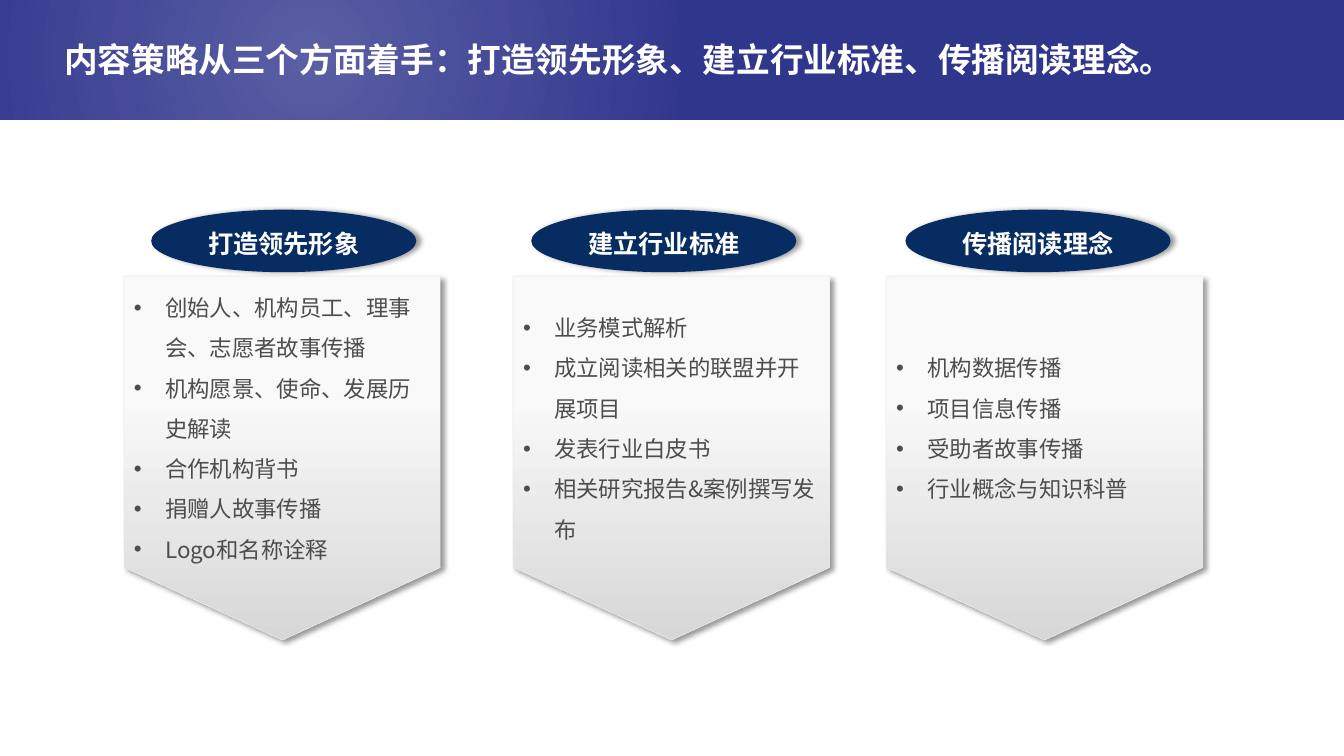
from dataclasses import dataclass

from lxml import etree
from pptx import Presentation
from pptx.dml.color import RGBColor
from pptx.enum.shapes import MSO_SHAPE
from pptx.enum.text import MSO_ANCHOR, PP_ALIGN
from pptx.oxml.ns import qn
from pptx.shapes.autoshape import Shape
from pptx.slide import Slide
from pptx.text.text import _Paragraph
from pptx.util import Inches, Pt

RECTANGLE = MSO_SHAPE.RECTANGLE
ELLIPSE = MSO_SHAPE.OVAL
PENNANT = MSO_SHAPE.FLOWCHART_OFFPAGE_CONNECTOR
MIDDLE = MSO_ANCHOR.MIDDLE
LEFT, CENTER = PP_ALIGN.LEFT, PP_ALIGN.CENTER

INDIGO = RGBColor(0x31, 0x36, 0x8D)
NAVY = RGBColor(0x07, 0x2C, 0x62)
WHITE = RGBColor(0xFF, 0xFF, 0xFF)
BLACK = RGBColor(0x00, 0x00, 0x00)
CHARCOAL = RGBColor(0x4D, 0x4D, 0x4D)
PALE_GREY = RGBColor(0xF9, 0xF9, 0xF9)
MID_GREY = RGBColor(0xD7, 0xD7, 0xD7)
EDGE_GREY = RGBColor(0xEA, 0xEA, 0xEA)

FONT = "Noto Sans CJK SC"
SLIDE_WIDTH, SLIDE_HEIGHT = Inches(13.33), Inches(7.5)
COLUMN, ROW = SLIDE_WIDTH / 100, SLIDE_HEIGHT / 100
BULLET_INDENT = Inches(0.31)


@dataclass(frozen=True)
class Area:
    column: float
    row: float
    columns: float
    rows: float

    def emu(self) -> tuple[int, int, int, int]:
        return (round(self.column * COLUMN), round(self.row * ROW),
                round(self.columns * COLUMN), round(self.rows * ROW))


@dataclass(frozen=True)
class TextStyle:
    size: float
    color: RGBColor
    bold: bool
    align: PP_ALIGN
    spacing: float
    bulleted: bool = False


@dataclass(frozen=True)
class Stop:
    position: int
    color: RGBColor
    opacity: int = 100


@dataclass(frozen=True)
class Strategy:
    heading: str
    badge_column: float
    panel_column: float
    points: tuple[str, ...]


TITLE = "内容策略从三个方面着手：打造领先形象、建立行业标准、传播阅读理念。"
TITLE_STYLE = TextStyle(24, WHITE, True, LEFT, 0.9)
HEADING_STYLE = TextStyle(18, WHITE, True, CENTER, 1.2)
POINT_STYLE = TextStyle(16, CHARCOAL, False, LEFT, 1.5, True)

BANNER_AREA = Area(0, 0, 100, 15.87)
GLOW_AREA = Area(-18.53, -2.27, 83.27, 19.2)
TITLE_AREA = Area(4.05, 5.07, 92.42, 6.13)

GLOW_STOPS = (Stop(0, WHITE, 20), Stop(66, WHITE, 0))
PANEL_STOPS = (Stop(33, PALE_GREY), Stop(100, MID_GREY))

STRATEGIES = (
    Strategy("打造领先形象", 11.25, 9.23, (
        "创始人、机构员工、理事会、志愿者故事传播",
        "机构愿景、使命、发展历史解读",
        "合作机构背书",
        "捐赠人故事传播",
        "Logo和名称诠释",
    )),
    Strategy("建立行业标准", 39.53, 38.18, (
        "业务模式解析",
        "成立阅读相关的联盟并开展项目",
        "发表行业白皮书",
        "相关研究报告&案例撰写发布",
    )),
    Strategy("传播阅读理念", 67.37, 65.94, (
        "机构数据传播",
        "项目信息传播",
        "受助者故事传播",
        "行业概念与知识科普",
    )),
)


def add_node(parent: etree._Element, tag: str, **attributes: object) -> etree._Element:
    values = {name: str(value) for name, value in attributes.items()}
    return etree.SubElement(parent, qn(tag), values)


def add_color(parent: etree._Element, color: RGBColor, opacity: int) -> None:
    node = add_node(parent, "a:srgbClr", val=color)
    if opacity < 100:
        add_node(node, "a:alpha", val=opacity * 1000)


def set_gradient(shape: Shape, stops: tuple[Stop, ...], radial: bool) -> None:
    shape.fill.background()
    properties = shape._element.spPr
    gradient = etree.Element(qn("a:gradFill"), rotWithShape="1")
    stop_list = add_node(gradient, "a:gsLst")
    for stop in stops:
        node = add_node(stop_list, "a:gs", pos=stop.position * 1000)
        add_color(node, stop.color, stop.opacity)
    if radial:
        circle = add_node(gradient, "a:path", path="circle")
        add_node(circle, "a:fillToRect", l=50000, t=50000, r=50000, b=50000)
    else:
        add_node(gradient, "a:lin", ang=90 * 60000, scaled=0)
    properties.replace(properties.find(qn("a:noFill")), gradient)


def set_shadow(shape: Shape, angle: int) -> None:
    effects = shape._element.spPr.find(qn("a:effectLst"))
    shadow = add_node(effects, "a:outerShdw", blurRad=Pt(4), dist=Pt(3),
                      dir=angle * 60000, algn="tl", rotWithShape=0)
    add_color(shadow, BLACK, 40)


def add_plain(slide: Slide, preset: MSO_SHAPE, area: Area) -> Shape:
    shape = slide.shapes.add_shape(preset, *area.emu())
    shape.shadow.inherit = False
    shape.line.fill.background()
    return shape


def add_bullet(paragraph: _Paragraph) -> None:
    properties = paragraph._p.get_or_add_pPr()
    properties.set("marL", str(BULLET_INDENT))
    properties.set("indent", str(-BULLET_INDENT))
    add_node(properties, "a:buFont", typeface="Arial")
    add_node(properties, "a:buChar", char="•")


def write(shape: Shape, lines: tuple[str, ...], style: TextStyle) -> None:
    frame = shape.text_frame
    frame.word_wrap = True
    frame.vertical_anchor = MIDDLE
    paragraph_format = {"alignment": style.align, "line_spacing": style.spacing}
    font_format = {"name": FONT, "size": Pt(style.size), "bold": style.bold}
    for index, line in enumerate(lines):
        paragraph = frame.add_paragraph() if index else frame.paragraphs[0]
        if style.bulleted:
            add_bullet(paragraph)
        for name, value in paragraph_format.items():
            setattr(paragraph, name, value)
        run = paragraph.add_run()
        run.text = line
        for name, value in font_format.items():
            setattr(run.font, name, value)
        run.font.color.rgb = style.color
        add_node(run._r.get_or_add_rPr(), "a:ea", typeface=FONT)


def draw_header(slide: Slide) -> None:
    banner = add_plain(slide, RECTANGLE, BANNER_AREA)
    banner.fill.solid()
    banner.fill.fore_color.rgb = INDIGO
    glow = add_plain(slide, RECTANGLE, GLOW_AREA)
    set_gradient(glow, GLOW_STOPS, True)
    write(slide.shapes.add_textbox(*TITLE_AREA.emu()), (TITLE,), TITLE_STYLE)


def draw_strategy(slide: Slide, strategy: Strategy) -> None:
    panel = add_plain(slide, PENNANT, Area(strategy.panel_column, 36.53, 23.56, 48.13))
    set_gradient(panel, PANEL_STOPS, False)
    panel.line.color.rgb = EDGE_GREY
    panel.line.width = Pt(0.25)
    set_shadow(panel, 45)
    write(panel, strategy.points, POINT_STYLE)

    badge = add_plain(slide, ELLIPSE, Area(strategy.badge_column, 27.73, 19.73, 8.27))
    badge.fill.solid()
    badge.fill.fore_color.rgb = NAVY
    set_shadow(badge, 0)
    write(badge, (strategy.heading,), HEADING_STYLE)


def main() -> None:
    deck = Presentation()
    deck.slide_width, deck.slide_height = SLIDE_WIDTH, SLIDE_HEIGHT
    slide = deck.slides.add_slide(deck.slide_layouts[6])
    draw_header(slide)
    for strategy in STRATEGIES:
        draw_strategy(slide, strategy)
    deck.save("out.pptx")


if __name__ == "__main__":
    main()
